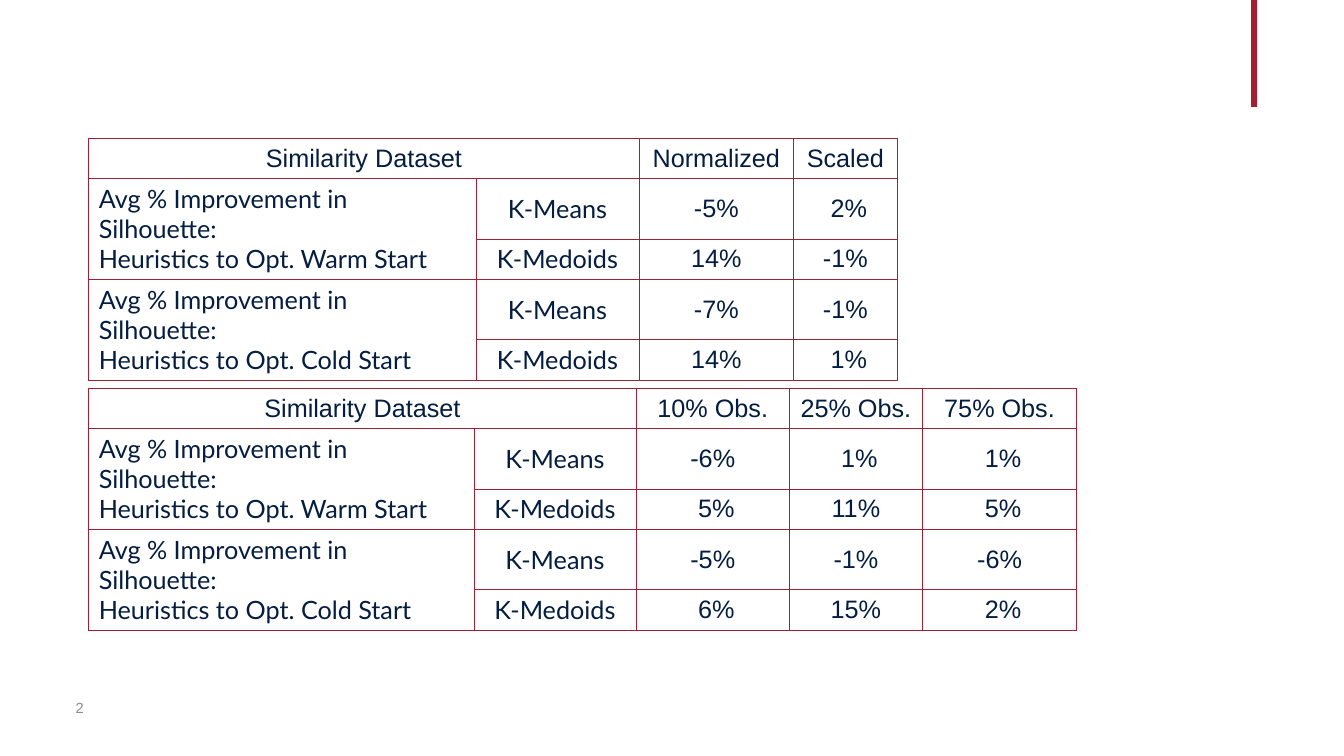
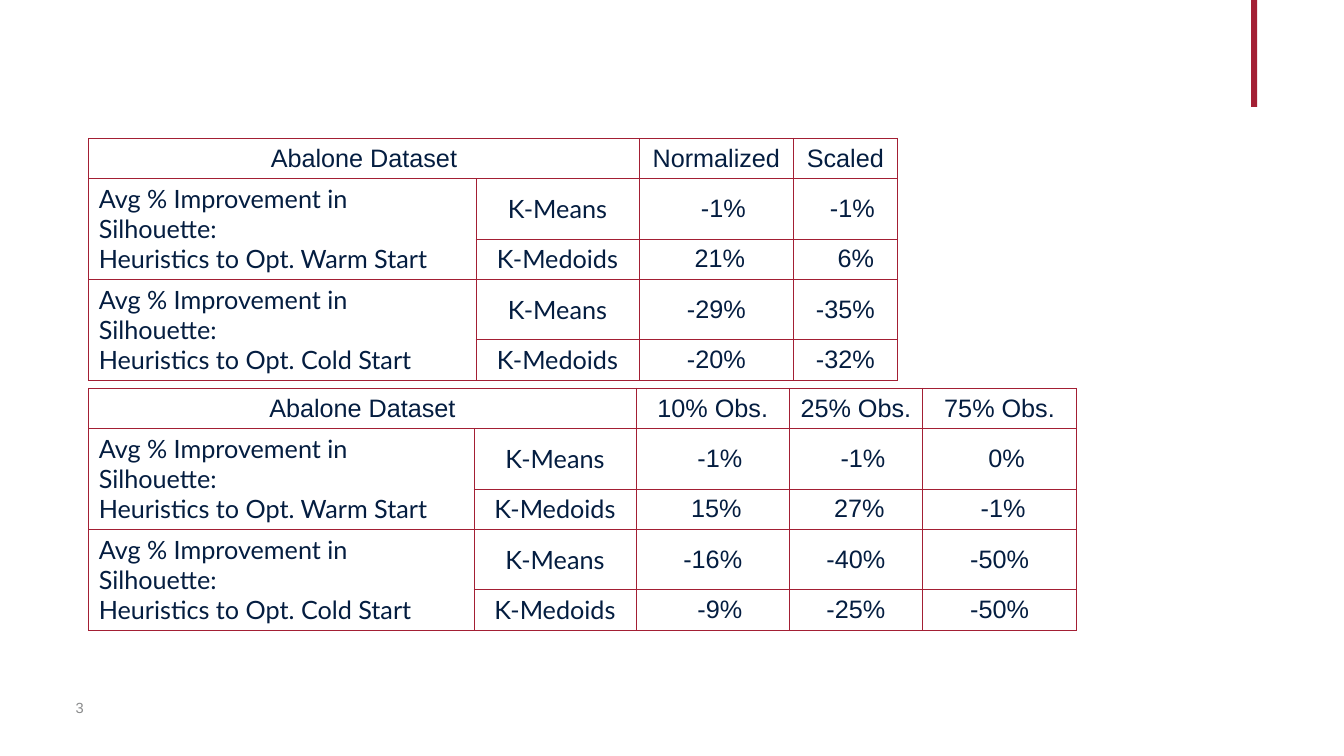
from lxml import etree
from pptx import Presentation
from pptx.dml.color import RGBColor
from pptx.enum.shapes import MSO_SHAPE
from pptx.enum.text import MSO_ANCHOR, PP_ALIGN
from pptx.oxml.ns import qn
from pptx.util import Inches, Pt

CRIMSON = RGBColor(0xA3, 0x1F, 0x34)
NAVY = RGBColor(0x04, 0x1D, 0x40)
GRAY = RGBColor(0x8A, 0x8B, 0x8C)
RECTANGLE = MSO_SHAPE.RECTANGLE
MIDDLE = MSO_ANCHOR.MIDDLE
LEFT, CENTER = PP_ALIGN.LEFT, PP_ALIGN.CENTER
VALUE_FONT, LABEL_FONT = "Arial", "Lato"

BLANK_LAYOUT = 6
FIRST_PAGE = 2
CELL_MARGIN = 0.1
SHIFT_UNIT = 0.07  # one step of extra left margin for a value
ROW_HEIGHTS = (0.4, 0.6, 0.4, 0.6, 0.4)
STARTS = ("Warm", "Cold")
METHODS = ("K-Means", "K-Medoids")

# Left, top, column widths and value headings of the two tables on each slide
SCALING_TABLE = (0.88, 1.37, (3.84, 1.62, 1.53, 1.03),
                 ("Normalized", "Scaled"))
SAMPLING_TABLE = (0.88, 3.85, (3.82, 1.61, 1.52, 1.32, 1.53),
                  ("10% Obs.", "25% Obs.", "75% Obs."))

# Each value stands with the number of steps it is shifted to the right
SIMILARITY_SCALING = (
    (("-5%", 0), ("2%", 1)),
    (("14%", 0), ("-1%", 0)),
    (("-7%", 0), ("-1%", 0)),
    (("14%", 0), ("1%", 1)),
)
SIMILARITY_SAMPLING = (
    (("-6%", 0), ("1%", 1), ("1%", 1)),
    (("5%", 1), ("11%", 0), ("5%", 1)),
    (("-5%", 0), ("-1%", 0), ("-6%", 0)),
    (("6%", 1), ("15%", 0), ("2%", 1)),
)
ABALONE_SCALING = (
    (("-1%", 2), ("-1%", 2)),
    (("21%", 1), ("6%", 3)),
    (("-29%", 0), ("-35%", 0)),
    (("-20%", 0), ("-32%", 0)),
)
ABALONE_SAMPLING = (
    (("-1%", 2), ("-1%", 2), ("0%", 2)),
    (("15%", 1), ("27%", 1), ("-1%", 1)),
    (("-16%", 0), ("-40%", 0), ("-50%", 0)),
    (("-9%", 2), ("-25%", 0), ("-50%", 0)),
)
DATASETS = (
    ("Similarity Dataset", SIMILARITY_SCALING, SIMILARITY_SAMPLING),
    ("Abalone Dataset", ABALONE_SCALING, ABALONE_SAMPLING),
)


def add_run(paragraph, text, font, size, color):
    run = paragraph.add_run()
    run.text = text
    run.font.name = font
    run.font.size = Pt(size)
    run.font.color.rgb = color


def outline_cell(cell):
    """Thin crimson border on all sides, no fill."""
    properties = cell._tc.get_or_add_tcPr()
    for side in ("lnL", "lnR", "lnT", "lnB"):
        line = etree.SubElement(properties, qn(f"a:{side}"), w=str(Pt(0.5)))
        fill = etree.SubElement(line, qn("a:solidFill"))
        etree.SubElement(fill, qn("a:srgbClr"), val=str(CRIMSON))
    cell.fill.background()


def write_cell(cell, lines, font=VALUE_FONT, align=CENTER, shift=0):
    cell.vertical_anchor = MIDDLE
    cell.margin_left = Inches(CELL_MARGIN + shift * SHIFT_UNIT)
    paragraph = cell.text_frame.paragraphs[0]
    paragraph.alignment = align
    for index, line in enumerate(lines):
        if index:
            paragraph.add_line_break()
        add_run(paragraph, line, font, 18, NAVY)


def add_results_table(slide, box, dataset, results):
    left, top, widths, headings = box
    frame = slide.shapes.add_table(
        len(ROW_HEIGHTS), len(widths), Inches(left), Inches(top),
        Inches(sum(widths)), Inches(sum(ROW_HEIGHTS)))
    table = frame.table
    table.first_row = table.horz_banding = False
    for column, width in zip(table.columns, widths):
        column.width = Inches(width)
    for row, height in zip(table.rows, ROW_HEIGHTS):
        row.height = Inches(height)
    for cell in table.iter_cells():
        outline_cell(cell)

    # Heading row
    table.cell(0, 0).merge(table.cell(0, 1))
    write_cell(table.cell(0, 0), [dataset])
    for column, heading in enumerate(headings, 2):
        write_cell(table.cell(0, column), [heading])

    # Start labels, each spanning one row per method
    for index, start in enumerate(STARTS):
        first = 1 + index * len(METHODS)
        label = table.cell(first, 0)
        label.merge(table.cell(first + len(METHODS) - 1, 0))
        write_cell(label, ["Avg % Improvement in Silhouette:",
                           f"Heuristics to Opt. {start} Start"],
                   LABEL_FONT, LEFT)

    # Methods and values
    for row, values in enumerate(results, 1):
        method = METHODS[(row - 1) % len(METHODS)]
        write_cell(table.cell(row, 1), [method], LABEL_FONT)
        for column, (value, shift) in enumerate(values, 2):
            write_cell(table.cell(row, column), [value], shift=shift)


def add_accent_bar(slide):
    bar = slide.shapes.add_shape(
        RECTANGLE, Inches(12.41), 0, Inches(0.06), Inches(1.06))
    bar.shadow.inherit = False
    bar.fill.solid()
    bar.fill.fore_color.rgb = CRIMSON
    bar.line.fill.background()


def add_page_number(slide, page):
    footer = slide.shapes.add_textbox(
        Inches(0.75), Inches(6.82), Inches(0.27), Inches(0.4)).text_frame
    footer.word_wrap = True
    footer.vertical_anchor = MIDDLE
    footer.margin_left = footer.margin_right = 0
    add_run(footer.paragraphs[0], str(page), VALUE_FONT, 10.5, GRAY)


def add_dataset_slide(deck, page, dataset, scaling, sampling):
    slide = deck.slides.add_slide(deck.slide_layouts[BLANK_LAYOUT])
    add_accent_bar(slide)
    add_page_number(slide, page)
    add_results_table(slide, SCALING_TABLE, dataset, scaling)
    add_results_table(slide, SAMPLING_TABLE, dataset, sampling)


def main():
    deck = Presentation()
    deck.slide_width = Inches(13.33)
    deck.slide_height = Inches(7.5)
    for page, content in enumerate(DATASETS, FIRST_PAGE):
        add_dataset_slide(deck, page, *content)
    deck.save("out.pptx")


if __name__ == "__main__":
    main()
